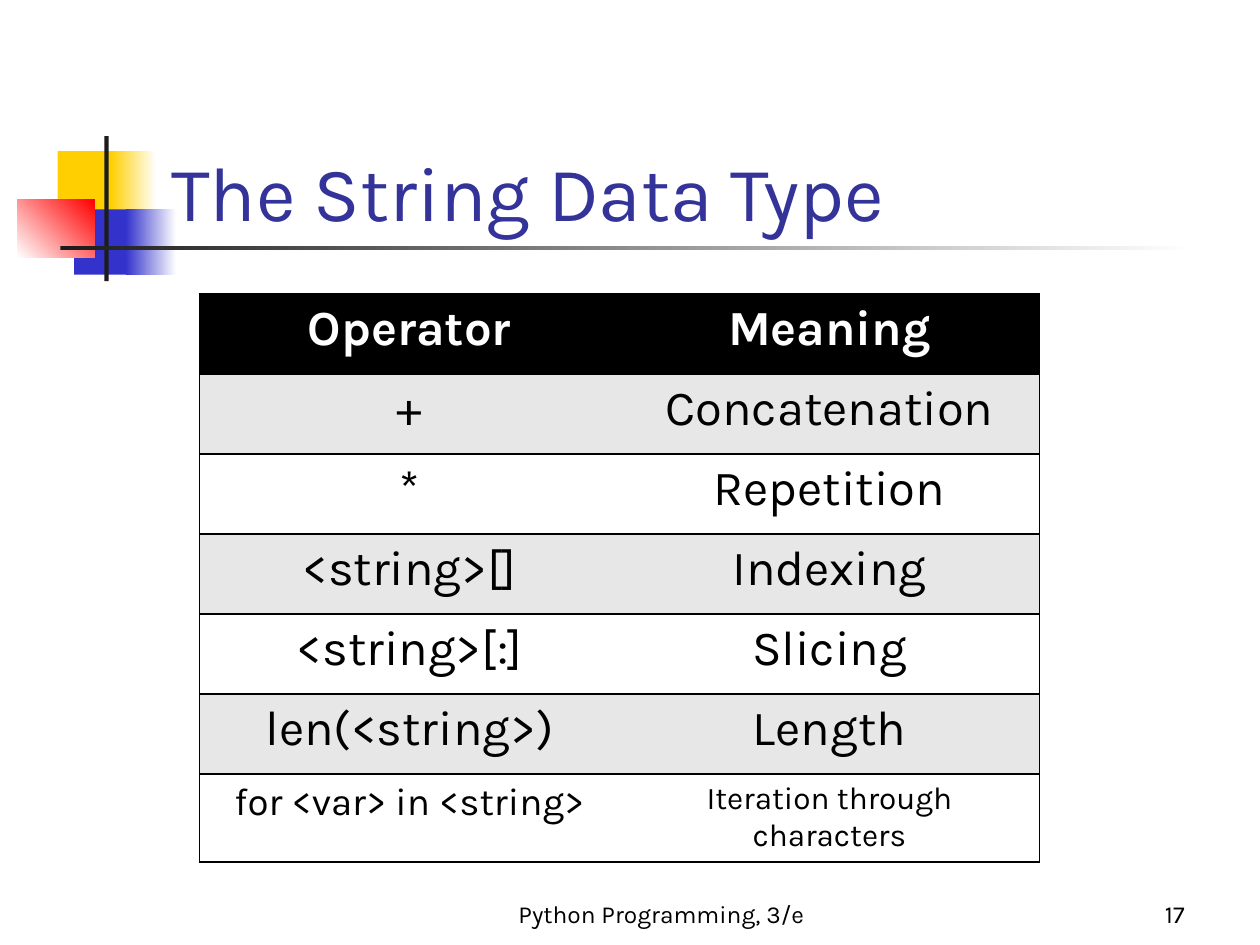
from pptx import Presentation
from pptx.dml.color import RGBColor
from pptx.enum.shapes import MSO_SHAPE
from pptx.enum.text import MSO_ANCHOR, PP_ALIGN
from pptx.util import Pt
from lxml.etree import SubElement

HUES = {
    "gold": "FFCF01", "blue": "3333CC", "red": "FF0000", "ink": "1C1C1C",
    "navy": "333399", "black": "000000", "white": "FFFFFF", "gray": "E7E7E7",
}
NS = "{http://schemas.openxmlformats.org/drawingml/2006/main}"
ROWS = [
    ("Operator", "Meaning"),
    ("+", "Concatenation"),
    ("*", "Repetition"),
    ("<string>[]", "Indexing"),
    ("<string>[:]", "Slicing"),
    ("len(<string>)", "Length"),
    ("for <var> in <string>", "Iteration through characters"),
]


def hue(name):
    return RGBColor.from_string(HUES[name])


def apply(target, values):
    for key, value in values.items():
        setattr(target, key, value)


def write(frame, text, size, color, align, bold=False):
    para = frame.paragraphs[0]
    para.alignment = align
    run = para.add_run()
    run.text = text
    apply(run.font, {"name": "Karla", "size": Pt(size), "bold": bold})
    run.font.color.rgb = hue(color)


def block(slide, box, start, end=None, angle=0):
    shape = slide.shapes.add_shape(MSO_SHAPE.RECTANGLE, *map(Pt, box))
    shape.shadow.inherit = False
    shape.line.fill.background()
    if end is None:
        shape.fill.solid()
        shape.fill.fore_color.rgb = hue(start)
        return
    shape.fill.gradient()
    shape.fill.gradient_angle = angle
    for stop, name in zip(shape.fill.gradient_stops, (start, end)):
        stop.color.rgb = hue(name)


def motif(slide, left, top):
    parts = [
        ((23, 8.6, 34.6, 37.4), "gold"),
        ((53.3, 8.6, 25.9, 37.4), "gold", "white"),
        ((32.4, 41.8, 33.1, 37.4), "blue"),
        ((61.9, 41.8, 28.8, 37.4), "blue", "white"),
        ((0, 36, 43.9, 33.1), "white", "red", 45),
        ((49.7, 0, 2.5, 82.8), "ink"),
        ((24.5, 62.6, 648, 2.5), "ink", "white"),
    ]
    for (x, y, wide, high), *paint in parts:
        block(slide, (left + x, top + y, wide, high), *paint)


def label(slide, box, *style):
    frame = slide.shapes.add_textbox(*map(Pt, box)).text_frame
    apply(frame, {"word_wrap": True, "vertical_anchor": MSO_ANCHOR.BOTTOM})
    write(frame, *style)


def edge(cell, side, shown):
    line = SubElement(cell._tc.get_or_add_tcPr(), NS + "ln" + side, w=str(Pt(1)))
    if shown:
        fill = SubElement(line, NS + "solidFill")
        SubElement(fill, NS + "srgbClr", val=HUES["black"])
    else:
        SubElement(line, NS + "noFill")


def grid(slide, left, top, width, height):
    sizes = {ROWS[-1][0]: 22, ROWS[-1][1]: 18}
    table = slide.shapes.add_table(
        len(ROWS), 2, *map(Pt, (left, top, width, height))).table
    for row in table.rows:
        row.height = Pt(height / len(ROWS))
    for r, texts in enumerate(ROWS):
        head = r == 0
        back = "black" if head else "gray" if r % 2 else "white"
        for c, text in enumerate(texts):
            cell = table.cell(r, c)
            for side, shown in zip("LRTB", (c == 0, c == 1, True, True)):
                edge(cell, side, shown)
            cell.fill.solid()
            cell.fill.fore_color.rgb = hue(back)
            write(cell.text_frame, text, sizes.get(text, 28),
                  "white" if head else "black", PP_ALIGN.CENTER, head)


def foot(slide, top, height):
    label(slide, (264, top, 228, height),
          "Python Programming, 3/e", 14, "black", PP_ALIGN.CENTER)
    label(slide, (534, top, 150, height), "17", 14, "black", PP_ALIGN.RIGHT)


def main():
    deck = Presentation()
    apply(deck, {"slide_width": Pt(720), "slide_height": Pt(540)})
    slide = deck.slides.add_slide(deck.slide_layouts[6])
    motif(slide, 10, 77.8)
    foot(slide, 498, 36)
    label(slide, (90.7, 49, 613.4, 90),
          "The String Data Type", 44, "navy", PP_ALIGN.LEFT)
    grid(slide, 114, 168, 480, 320)
    deck.save("out.pptx")


main()
